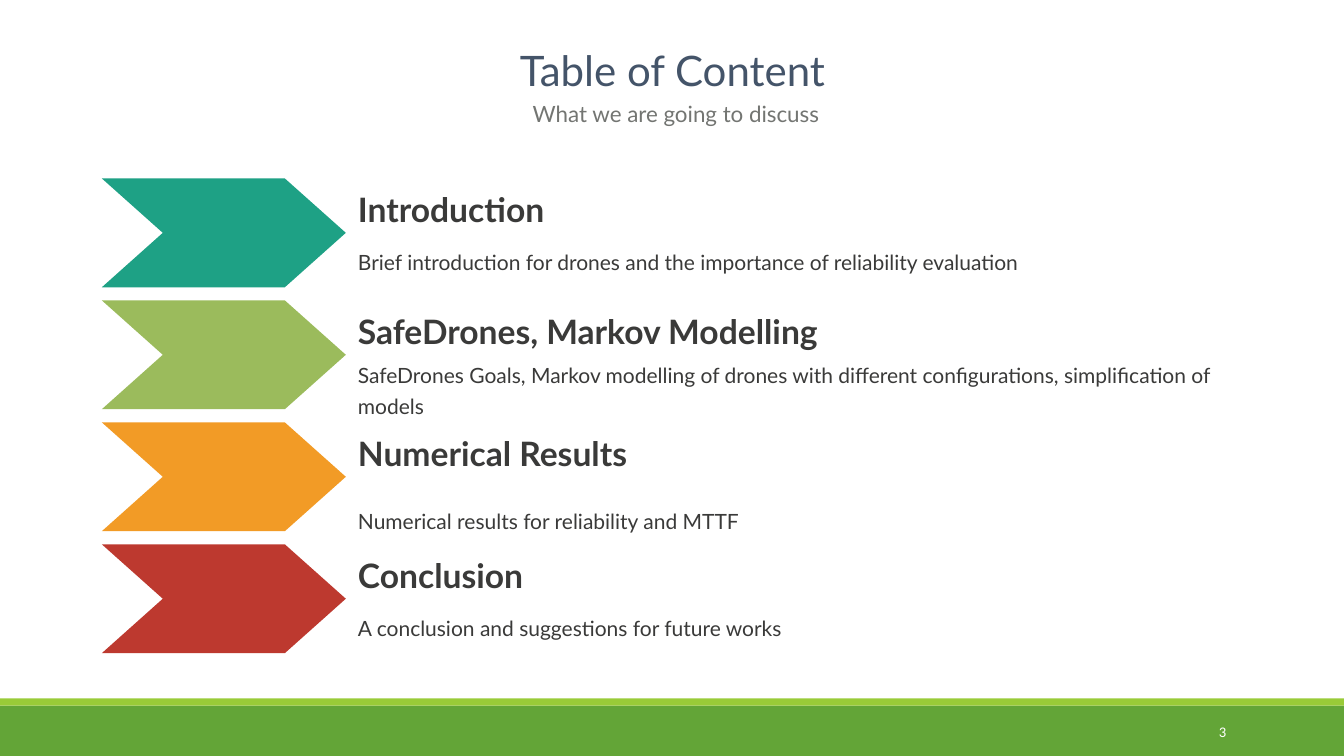
from pptx import Presentation
from pptx import util as u
from pptx.dml.color import RGBColor
from pptx.enum import shapes, text

HUES = {
    "teal": "1EA185", "lime": "9BBB5C", "orange": "F29B26", "red": "BD392F",
    "title": "445469", "sub": "737572", "body": "3A3A39",
    "base": "63A537", "stripe": "99CB38", "white": "FFFFFF",
}
TOPICS = [
    ("teal", "Introduction", 11.5,
     "Brief introduction for drones and the importance of reliability evaluation"),
    ("lime", "SafeDrones, Markov Modelling", 5,
     "SafeDrones Goals, Markov modelling of drones with different configurations, "
     "simplification of models"),
    ("orange", "Numerical Results", 21.6, "Numerical results for reliability and MTTF"),
    ("red", "Conclusion", 11.5, "A conclusion and suggestions for future works"),
]

deck = Presentation()
deck.slide_width, deck.slide_height = u.Inches(13.33), u.Inches(7.5)
slide = deck.slides.add_slide(deck.slide_layouts[6])


def add_solid(kind, box, hue):
    solid = slide.shapes.add_shape(kind, *map(u.Inches, box))
    solid.shadow.inherit = False
    solid.fill.solid()
    solid.fill.fore_color.rgb = RGBColor.from_string(HUES[hue])
    solid.line.fill.background()
    return solid


def add_words(box, rows, hue, pads, align, space, font="Lato"):
    frame = slide.shapes.add_textbox(*map(u.Inches, box)).text_frame
    frame.word_wrap = True
    frame.margin_left = frame.margin_right = u.Inches(pads[0])
    frame.margin_top = frame.margin_bottom = u.Inches(pads[1])
    frame.text = "\n".join(row[0] for row in rows)
    for para, (words, size, bold, gap) in zip(frame.paragraphs, rows):
        para.alignment = align
        para.line_spacing = space
        if gap:
            para.space_before = u.Pt(gap)
        face = para.runs[0].font
        face.name, face.size, face.bold = font, u.Pt(size), bold
        face.color.rgb = RGBColor.from_string(HUES[hue])
    return frame


kinds = shapes.MSO_SHAPE
sides = text.PP_ALIGN

add_solid(kinds.RECTANGLE, (0, 7, 13.33, 0.5), "base")
add_solid(kinds.RECTANGLE, (0, 6.93, 13.33, 0.07), "stripe")

add_words((3.71, 0.52, 5.92, 0.47), [("Table of Content", 30, False, 0)],
          "title", (0.05, 0.02), sides.CENTER, 0.8)
add_words((3.78, 1.03, 5.85, 0.27), [("What we are going to discuss", 16, False, 0)],
          "sub", (0.05, 0.02), sides.CENTER, 0.8)

for i, (hue, head, gap, note) in enumerate(TOPICS):
    drop = 1.21 * i
    arrow = add_solid(kinds.CHEVRON, (1.01, 1.77 + drop, 2.42, 1.08), hue)
    arrow.adjustments[0] = 0.56
    add_words((3.42, 1.72 + drop, 9.12, 1.18),
              [(head, 24, True, 0), (note, 15, False, gap)],
              "body", (0.13, 0.07), sides.LEFT, 1.2)

page = add_words((10.83, 7.06, 1.43, 0.4), [("3", 10.5, False, 0)],
                 "white", (0.1, 0.05), sides.RIGHT, 1.0, "Calibri")
page.vertical_anchor = text.MSO_ANCHOR.MIDDLE

deck.save("out.pptx")
